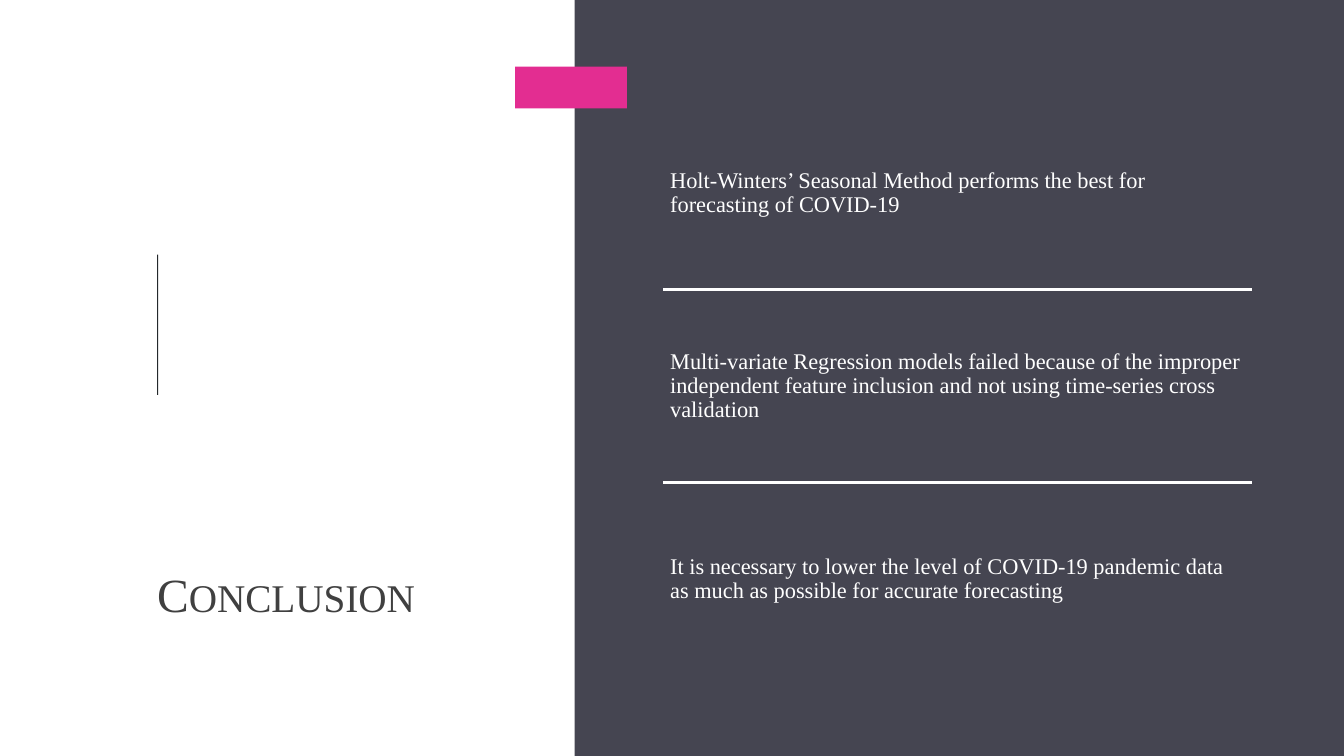
"""Build the conclusion slide with three statements on a dark panel."""
import pptx
import pptx.util
import pptx.dml.color
import pptx.enum.shapes
import pptx.enum.text
import pptx.oxml.ns
from lxml import etree
from pptx.util import Cm

COLORS = {
    "panel": "454551",
    "rule": "24282B",
    "accent": "E32D91",
    "title": "404040",
    "light": "FFFFFF",
}
FONT = "Times New Roman"
STATEMENTS = [
    "Holt-Winters’ Seasonal Method performs the best for forecasting of COVID-19",
    "Multi-variate Regression models failed because of the improper independent "
    "feature inclusion and not using time-series cross validation",
    "It is necessary to lower the level of COVID-19 pandemic data as much as "
    "possible for accurate forecasting",
]
LIST_LEFT, LIST_TOP, LIST_WIDTH, ROW_HEIGHT = Cm(16.71), Cm(2.44), Cm(14.83), Cm(4.86)


def rgb(name):
    return pptx.dml.color.RGBColor.from_string(COLORS[name])


def add_block(slide, color, left, top, width, height):
    block = slide.shapes.add_shape(
        pptx.enum.shapes.MSO_SHAPE.RECTANGLE, left, top, width, height
    )
    block.shadow.inherit = False
    block.fill.solid()
    block.fill.fore_color.rgb = rgb(color)
    block.line.fill.background()


def add_text_frame(slide, left, top, width, height, margin, anchor):
    frame = slide.shapes.add_textbox(left, top, width, height).text_frame
    frame.word_wrap = True
    frame.margin_left = frame.margin_right = margin
    frame.margin_top = frame.margin_bottom = margin
    frame.vertical_anchor = anchor
    return frame


def add_title(slide):
    frame = add_text_frame(slide, Cm(3.96), Cm(11.2), Cm(10.16), Cm(4.47),
                           Cm(0), pptx.enum.text.MSO_ANCHOR.BOTTOM)
    paragraph = frame.paragraphs[0]
    paragraph.font.name = FONT
    paragraph.font.color.rgb = rgb("title")
    for text, size in (("C", 34), ("ONCLUSION", 28)):
        run = paragraph.add_run()
        run.text = text
        run.font.size = pptx.util.Pt(size)


def add_statement(slide, text, top):
    frame = add_text_frame(slide, LIST_LEFT, top, LIST_WIDTH, ROW_HEIGHT,
                           Cm(0.18), pptx.enum.text.MSO_ANCHOR.MIDDLE)
    paragraph = frame.paragraphs[0]
    paragraph.text = text
    paragraph.line_spacing = 0.9
    paragraph.font.name = FONT
    paragraph.font.size = pptx.util.Pt(16)
    paragraph.font.color.rgb = rgb("light")


def add_divider(slide, top):
    divider = slide.shapes.add_connector(
        pptx.enum.shapes.MSO_CONNECTOR.STRAIGHT,
        LIST_LEFT, top, LIST_LEFT + LIST_WIDTH, top,
    )
    divider.line.color.rgb = rgb("light")
    divider.line.width = pptx.util.Pt(1.75)
    properties = divider._element.spPr
    etree.SubElement(properties, pptx.oxml.ns.qn("a:effectLst"))


def main():
    presentation = pptx.Presentation()
    presentation.slide_width = Cm(33.87)
    presentation.slide_height = Cm(19.05)
    slide = presentation.slides.add_slide(presentation.slide_layouts[6])

    add_block(slide, "panel", Cm(14.48), Cm(0), Cm(19.39), Cm(19.05))
    add_block(slide, "rule", Cm(3.96), Cm(6.42), Cm(0.03), Cm(3.53))
    add_block(slide, "accent", Cm(12.98), Cm(1.68), Cm(2.82), Cm(1.05))
    add_title(slide)
    for index, statement in enumerate(STATEMENTS):
        top = LIST_TOP + index * ROW_HEIGHT
        if index:
            add_divider(slide, top)
        add_statement(slide, statement, top)

    presentation.save("out.pptx")


if __name__ == "__main__":
    main()
